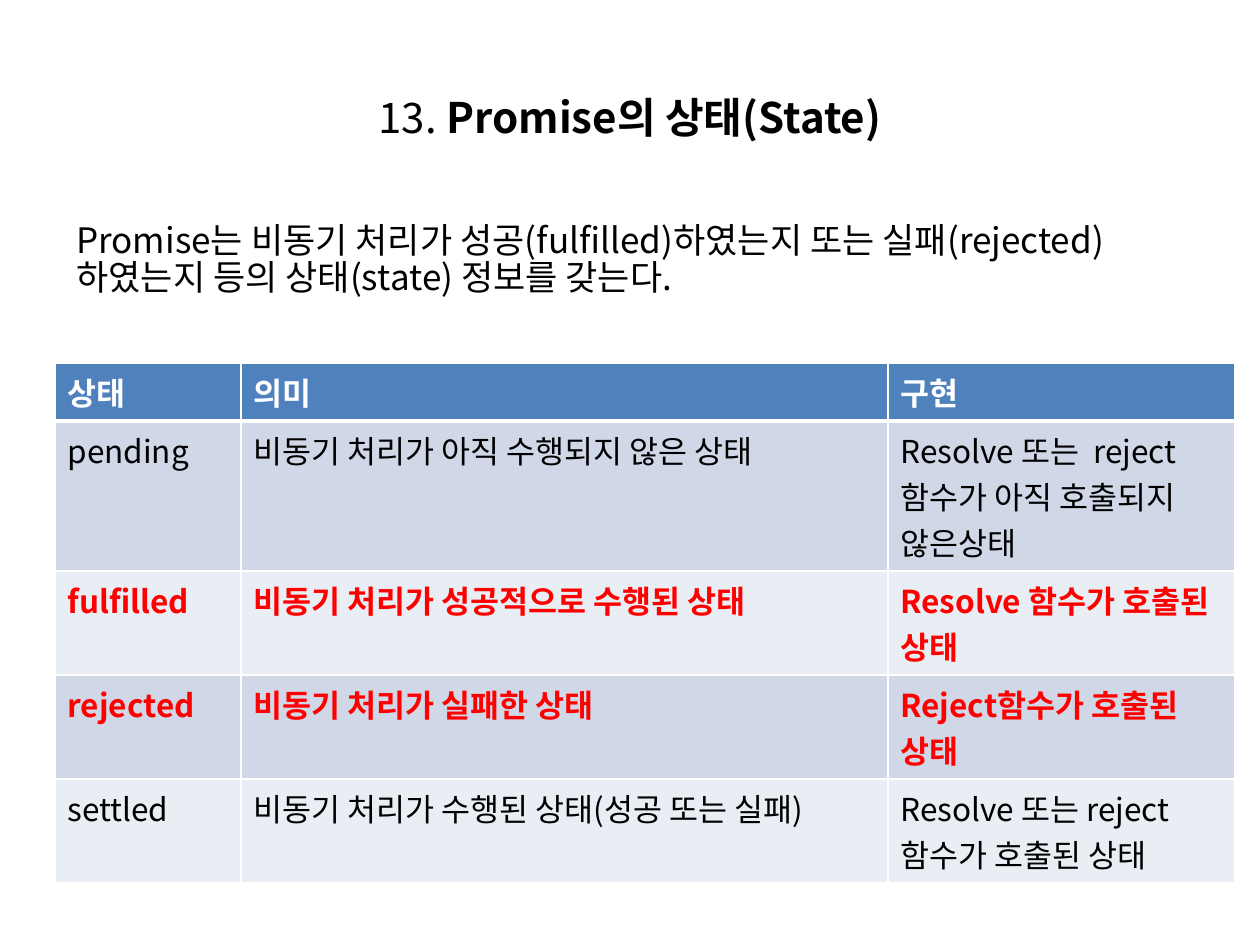
from lxml.etree import SubElement
from pptx import Presentation
from pptx.dml.color import RGBColor
from pptx.enum.text import MSO_ANCHOR, PP_ALIGN
from pptx.oxml.ns import qn
from pptx.util import Emu, Pt

FONT = "Noto Sans CJK KR"
BLACK = RGBColor(0x00, 0x00, 0x00)
WHITE = RGBColor(0xFF, 0xFF, 0xFF)
RED = RGBColor(0xFF, 0x00, 0x00)
HEADER_BLUE = RGBColor(0x4F, 0x81, 0xBD)
BAND_DARK = RGBColor(0xD0, 0xD8, 0xE8)
BAND_LIGHT = RGBColor(0xE9, 0xED, 0xF4)

COLUMN_WIDTHS = (186, 647, 347)
ROW_HEIGHTS = (58, 150, 104, 104, 104)
STATES = (
    ("상태", "의미", "구현"),
    ("pending", "비동기 처리가 아직 수행되지 않은 상태",
     "Resolve 또는  reject함수가 아직 호출되지 않은상태"),
    ("fulfilled", "비동기 처리가 성공적으로 수행된 상태", "Resolve 함수가 호출된 상태"),
    ("rejected", "비동기 처리가 실패한 상태", "Reject함수가 호출된 상태"),
    ("settled", "비동기 처리가 수행된 상태(성공 또는 실패)",
     "Resolve 또는 reject함수가 호출된 상태"),
)
HIGHLIGHTED = ("fulfilled", "rejected")


def px(length):
    return Emu(round(length * 914400 / 126))


def add_text(paragraph, text, size=18, color=BLACK, bold=False):
    run = paragraph.add_run()
    run.text = text
    run.font.size = Pt(size)
    run.font.bold = bold
    run.font.color.rgb = color
    run.font.name = FONT


def add_text_frame(slide, box):
    frame = slide.shapes.add_textbox(*map(px, box)).text_frame
    frame.word_wrap = True
    return frame


def add_title(slide, box):
    frame = add_text_frame(slide, box)
    frame.vertical_anchor = MSO_ANCHOR.MIDDLE
    paragraph = frame.paragraphs[0]
    paragraph.alignment = PP_ALIGN.CENTER
    add_text(paragraph, "13.", size=24)
    add_text(paragraph, " Promise의 상태(State)", size=24, bold=True)


def add_summary(slide, box):
    frame = add_text_frame(slide, box)
    frame.margin_top = px(9)
    paragraph = frame.paragraphs[0]
    paragraph.line_spacing = 0.9
    add_text(paragraph, "Promise는 비동기 처리가 성공(fulfilled)하였는지 또는 "
             "실패(rejected)하였는지 등의 상태(state) 정보를 갖는다.", size=20)


def set_borders(cell, top, bottom):
    """Draw white cell borders, with top and bottom widths given in points."""
    properties = cell._tc.get_or_add_tcPr()
    widths = {"a:lnL": 1, "a:lnR": 1, "a:lnT": top, "a:lnB": bottom}
    for position, (tag, width) in enumerate(widths.items()):
        line = properties.makeelement(qn(tag), {"w": str(Pt(width))})
        fill = SubElement(line, qn("a:solidFill"))
        SubElement(fill, qn("a:srgbClr"), val=str(WHITE))
        properties.insert(position, line)


def add_state_table(slide, left, top):
    shape = slide.shapes.add_table(
        len(STATES), len(COLUMN_WIDTHS), px(left), px(top),
        px(sum(COLUMN_WIDTHS)), px(sum(ROW_HEIGHTS)))
    table = shape.table
    for column, width in zip(table.columns, COLUMN_WIDTHS):
        column.width = px(width)
    for index, (row, height, texts) in enumerate(zip(table.rows, ROW_HEIGHTS, STATES)):
        row.height = px(height)
        is_header = index == 0
        is_highlighted = texts[0] in HIGHLIGHTED
        color = WHITE if is_header else RED if is_highlighted else BLACK
        band = HEADER_BLUE if is_header else BAND_DARK if index % 2 else BAND_LIGHT
        for cell, text in zip(row.cells, texts):
            cell.fill.solid()
            cell.fill.fore_color.rgb = band
            set_borders(cell, top=3 if index == 1 else 1, bottom=3 if is_header else 1)
            add_text(cell.text_frame.paragraphs[0], text, color=color,
                     bold=is_header or is_highlighted)


def main():
    presentation = Presentation()
    presentation.slide_width = px(1260)
    presentation.slide_height = px(945)
    slide = presentation.slides.add_slide(presentation.slide_layouts[6])
    add_title(slide, (63, 38, 1134, 157))
    add_state_table(slide, 55, 363)
    add_summary(slide, (64, 214, 1171, 136))
    presentation.save("out.pptx")


if __name__ == "__main__":
    main()
